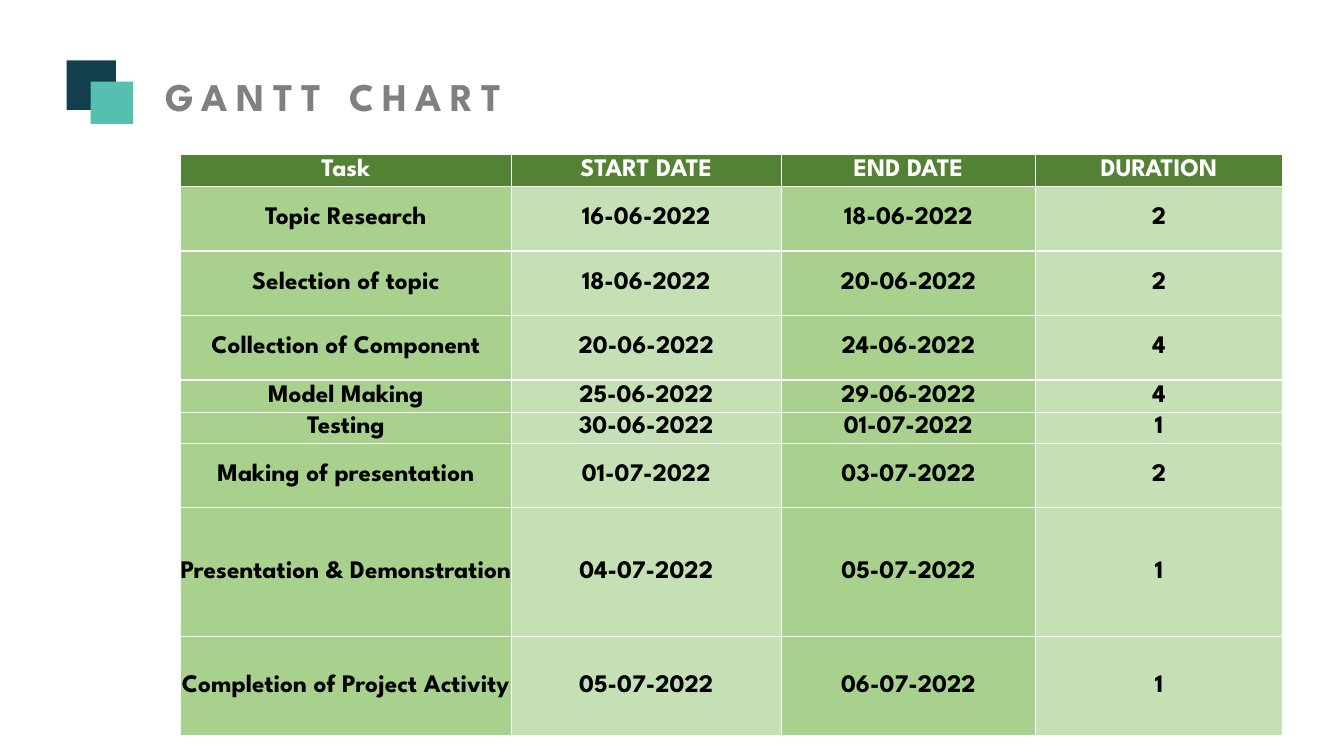
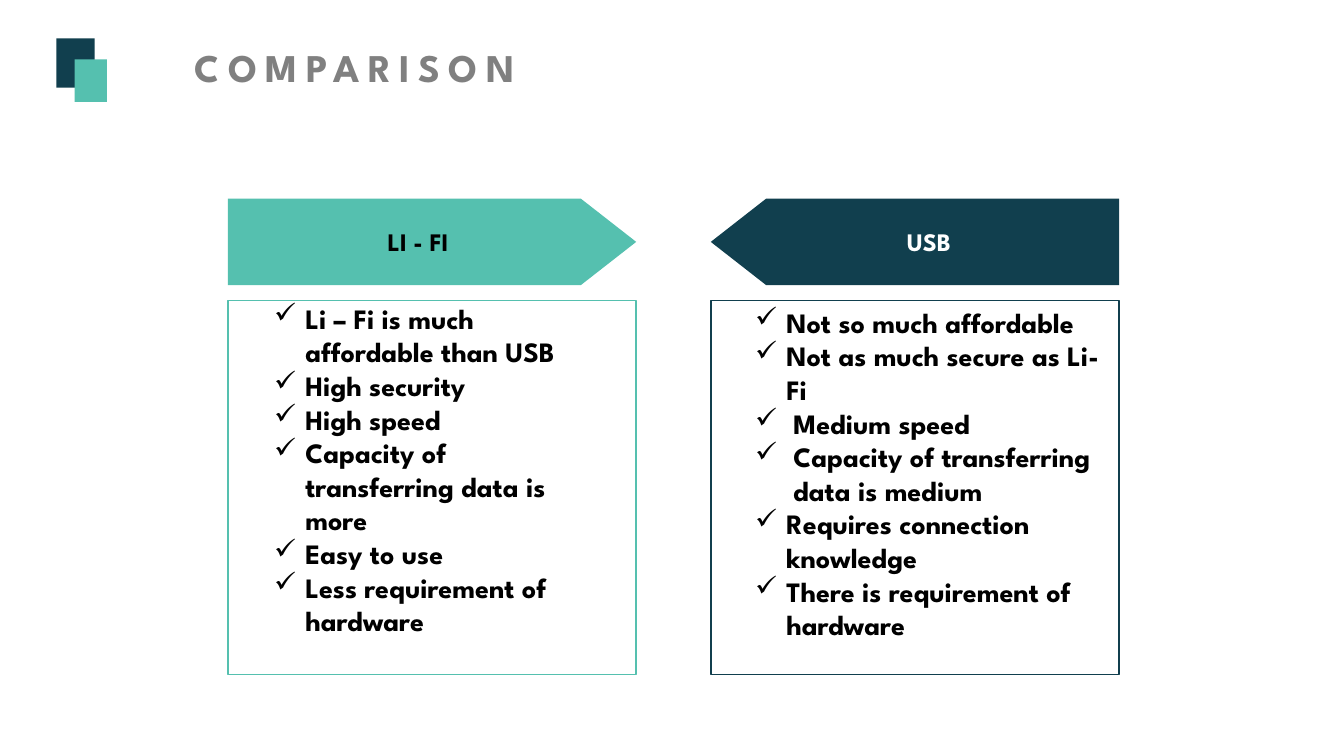
import dataclasses
import typing

import lxml.etree
import pptx
import pptx.dml.color
import pptx.enum.shapes
import pptx.enum.text
import pptx.oxml.ns
import pptx.slide
import pptx.util

Inches = pptx.util.Inches
Pt = pptx.util.Pt
Color = pptx.dml.color.RGBColor
Align = pptx.enum.text.PP_ALIGN
Anchor = pptx.enum.text.MSO_ANCHOR
Kind = pptx.enum.shapes.MSO_SHAPE


@dataclasses.dataclass(frozen=True)
class Theme:
    font: str = "League Spartan"
    navy: str = "113F4E"
    teal: str = "55C0AF"
    gray: str = "808080"
    black: str = "000000"
    white: str = "FFFFFF"
    head: str = "548235"
    dark: str = "A9D18E"
    light: str = "C5E0B4"
    title: int = 28
    label: int = 18
    body: int = 20
    track: int = 6


class Box(typing.NamedTuple):
    left: float
    top: float
    width: float
    height: float

    def size(self) -> list[int]:
        return [Inches(side) for side in self]


class Header(typing.NamedTuple):
    text: str
    area: Box
    back: Box
    front: Box
    wrap: bool


class Item(typing.NamedTuple):
    text: str
    indent: float = 0.31


class Panel(typing.NamedTuple):
    label: str
    left: float
    fill: str
    ink: str
    flip: bool
    area: Box
    items: list[Item]


THEME = Theme()

GANTT = Header("GANTT CHART", Box(1.44, 0.67, 3.74, 0.71),
               Box(0.66, 0.6, 0.49, 0.49), Box(0.9, 0.81, 0.42, 0.42), False)
VERSUS = Header("COMPARISON", Box(1.13, 0.38, 4.78, 0.57),
                Box(0.56, 0.38, 0.38, 0.49), Box(0.74, 0.59, 0.32, 0.42), True)

GRID = Box(1.79, 1.53, 10.93, 5.77)
WIDTHS = [3.28, 2.68, 2.52, 2.45]
HEIGHTS = [0.32, 0.64, 0.64, 0.64, 0.32, 0.31, 0.64, 1.28, 0.98]
TASKS = [
    ("Task", "START DATE", "END DATE", "DURATION"),
    ("Topic Research", "16-06-2022", "18-06-2022", "2"),
    ("Selection of topic", "18-06-2022", "20-06-2022", "2"),
    ("Collection of Component", "20-06-2022", "24-06-2022", "4"),
    ("Model Making", "25-06-2022", "29-06-2022", "4"),
    ("Testing", "30-06-2022", "01-07-2022", "1"),
    ("Making of presentation", "01-07-2022", "03-07-2022", "2"),
    ("Presentation & Demonstration", "04-07-2022", "05-07-2022", "1"),
    ("Completion of Project Activity", "05-07-2022", "06-07-2022", "1"),
]

PANELS = [
    Panel("LI - FI", 2.26, THEME.teal, THEME.black, False, Box(2.62, 2.94, 3.18, 3.8), [
        Item("Li – Fi is much affordable than USB"),
        Item("High security"),
        Item("High speed"),
        Item("Capacity of transferring data is more"),
        Item("Easy to use"),
        Item("Less requirement of hardware"),
    ]),
    Panel("USB", 7.05, THEME.navy, THEME.white, True, Box(7.39, 2.98, 3.71, 3.8), [
        Item("Not so much affordable"),
        Item("Not as much secure as Li-Fi"),
        Item("Medium speed", 0.38),
        Item("Capacity of transferring data is medium", 0.38),
        Item("Requires connection knowledge"),
        Item("There is requirement of hardware"),
    ]),
]


def add_run(para: typing.Any, text: str, size: int, ink: str, track: int = 0) -> None:
    run = para.add_run()
    run.text = text
    run.font.name = THEME.font
    run.font.size = Pt(size)
    run.font.bold = True
    run.font.color.rgb = Color.from_string(ink)
    if track:
        run.font._element.set("spc", str(track * 100))


def add_text(shapes: typing.Any, area: Box, wrap: bool = True) -> typing.Any:
    frame = shapes.add_textbox(*area.size()).text_frame
    frame.word_wrap = wrap
    frame.auto_size = pptx.enum.text.MSO_AUTO_SIZE.SHAPE_TO_FIT_TEXT
    return frame


def add_shape(shapes: typing.Any, area: Box, fill: str = "", line: str = "",
              kind: Kind = Kind.RECTANGLE) -> typing.Any:
    shape = shapes.add_shape(kind, *area.size())
    shape.shadow.inherit = False
    if fill:
        shape.fill.solid()
        shape.fill.fore_color.rgb = Color.from_string(fill)
    else:
        shape.fill.background()
    if line:
        shape.line.color.rgb = Color.from_string(line)
        shape.line.width = Pt(1)
    else:
        shape.line.fill.background()
    return shape


def add_header(slide: pptx.slide.Slide, header: Header) -> None:
    group = slide.shapes.add_group_shape().shapes
    para = add_text(group, header.area, header.wrap).paragraphs[0]
    para.alignment = Align.CENTER
    add_run(para, header.text, THEME.title, THEME.gray, THEME.track)
    add_shape(group, header.back, THEME.navy)
    add_shape(group, header.front, THEME.teal)


def add_grid(slide: pptx.slide.Slide) -> None:
    table = slide.shapes.add_table(len(TASKS), len(WIDTHS), *GRID.size()).table
    table.horz_banding = False
    for col, width in zip(table.columns, WIDTHS):
        col.width = Inches(width)
    for row, height in zip(table.rows, HEIGHTS):
        row.height = Inches(height)
    for i, task in enumerate(TASKS):
        for j, text in enumerate(task):
            cell = table.cell(i, j)
            cell.margin_left = cell.margin_right = Inches(0)
            cell.margin_top = cell.margin_bottom = Inches(0)
            cell.vertical_anchor = Anchor.MIDDLE
            fill = (THEME.dark, THEME.light)[j % 2] if i else THEME.head
            cell.fill.solid()
            cell.fill.fore_color.rgb = Color.from_string(fill)
            para = cell.text_frame.paragraphs[0]
            para.alignment = Align.CENTER
            add_run(para, text, THEME.label, THEME.black if i else THEME.white)


def add_item(para: typing.Any, item: Item) -> None:
    props = para._p.get_or_add_pPr()
    props.set("marL", str(Inches(item.indent)))
    props.set("indent", str(-Inches(item.indent)))
    mark = lxml.etree.SubElement(props, pptx.oxml.ns.qn("a:buChar"))
    mark.set("char", "✓")
    add_run(para, item.text, THEME.body, THEME.black)


def add_panel(slide: pptx.slide.Slide, panel: Panel) -> None:
    add_shape(slide.shapes, Box(panel.left, 2.98, 4.05, 3.71), line=panel.fill)
    arrow = add_shape(slide.shapes, Box(panel.left, 1.97, 4.05, 0.86), panel.fill,
                      kind=Kind.PENTAGON)
    arrow.adjustments[0] = 0.64
    if panel.flip:
        arrow._element.spPr.find(pptx.oxml.ns.qn("a:xfrm")).set("flipH", "1")
    arrow.text_frame.word_wrap = False
    arrow.text_frame.vertical_anchor = Anchor.MIDDLE
    para = arrow.text_frame.paragraphs[0]
    para.alignment = Align.CENTER
    add_run(para, panel.label, THEME.label, panel.ink)
    frame = add_text(slide.shapes, panel.area)
    for i, item in enumerate(panel.items):
        add_item(frame.add_paragraph() if i else frame.paragraphs[0], item)


def main() -> None:
    deck = pptx.Presentation()
    deck.slide_width, deck.slide_height = Inches(13.33), Inches(7.5)
    blank = deck.slide_layouts[6]
    gantt = deck.slides.add_slide(blank)
    add_header(gantt, GANTT)
    add_grid(gantt)
    versus = deck.slides.add_slide(blank)
    add_header(versus, VERSUS)
    for panel in PANELS:
        add_panel(versus, panel)
    deck.save("out.pptx")


if __name__ == "__main__":
    main()
